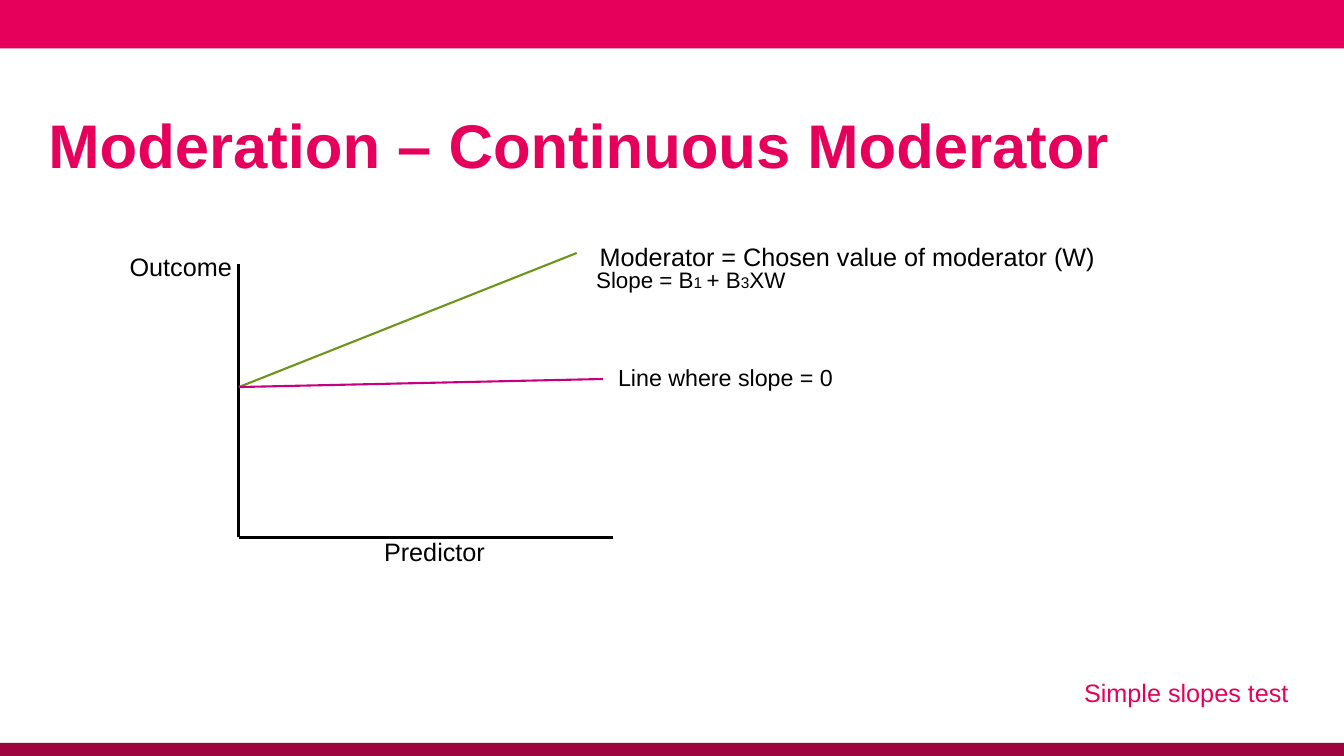
from collections import namedtuple
from dataclasses import dataclass

from lxml import etree
from pptx import Presentation
from pptx.dml.color import RGBColor
from pptx.enum.shapes import MSO_CONNECTOR, MSO_SHAPE
from pptx.enum.text import MSO_ANCHOR, MSO_AUTO_SIZE, PP_ALIGN
from pptx.oxml.ns import qn
from pptx.util import Inches, Pt

RECTANGLE, STRAIGHT = MSO_SHAPE.RECTANGLE, MSO_CONNECTOR.STRAIGHT
MIDDLE, BOTTOM = MSO_ANCHOR.MIDDLE, MSO_ANCHOR.BOTTOM
LEFT, RIGHT = PP_ALIGN.LEFT, PP_ALIGN.RIGHT
NO_FIT = MSO_AUTO_SIZE.NONE
TITLE_AND_CONTENT = 1

Box = namedtuple("Box", "left top width height")


@dataclass(frozen=True)
class Theme:
    font: str = "Arial"
    pink: str = "E6005B"
    crimson: str = "9E043D"
    ink: str = "000000"
    green: str = "6D951A"
    magenta: str = "C7007F"
    title: float = 44
    text: float = 18
    zero_line: float = 16.6
    formula: float = 16
    index: float = 11
    axis: float = 2.25
    slope: float = 1.5


THEME = Theme()
SLIDE = Box(0, 0, 13.33, 7.5)


def place(shape, box):
    shape.left, shape.top, shape.width, shape.height = map(Inches, box)


def set_frame(frame, anchor, right_inset=0, side_inset=0):
    frame.word_wrap = True
    frame.auto_size = NO_FIT
    frame.vertical_anchor = anchor
    frame.margin_left, frame.margin_right = 0, Inches(right_inset)
    frame.margin_top = frame.margin_bottom = Inches(side_inset)


def set_font(font, size, color):
    font.name = THEME.font
    font.size = Pt(size)
    font.color.rgb = RGBColor.from_string(color)


def add_bar(page, box, color):
    bar = page.shapes.add_shape(RECTANGLE, *map(Inches, box))
    bar.shadow.inherit = False
    bar.fill.solid()
    bar.fill.fore_color.rgb = RGBColor.from_string(color)
    bar.line.fill.background()


def fill_title(page, box, text):
    title = page.shapes.title
    place(title, box)
    set_frame(title.text_frame, MIDDLE, right_inset=0.1, side_inset=0.05)
    para = title.text_frame.paragraphs[0]
    para.text = text
    para.alignment = LEFT
    set_font(para.font, THEME.title, THEME.pink)
    para.font.bold = True


def fill_caption(page, box, text):
    caption = page.placeholders[1]
    place(caption, box)
    set_frame(caption.text_frame, BOTTOM)
    para = caption.text_frame.paragraphs[0]
    para.text = text
    para.alignment = RIGHT
    para.space_before = Pt(0)
    properties = para._p.get_or_add_pPr()
    properties.set("marL", "0")
    properties.set("indent", "0")
    etree.SubElement(properties, qn("a:buNone"))
    set_font(para.font, THEME.text, THEME.pink)


def add_line(page, start, end, color, width):
    line = page.shapes.add_connector(STRAIGHT, *map(Inches, start + end))
    line.line.color.rgb = RGBColor.from_string(color)
    line.line.width = Pt(width)
    etree.SubElement(line._element.spPr, qn("a:effectLst"))


def add_label(page, right, bottom, width, spans):
    """Right-aligned label ending at the given corner; spans are (text, size)."""
    height = 0.3
    box = Box(right - width, bottom - height, width, height)
    frame = page.shapes.add_textbox(*map(Inches, box)).text_frame
    set_frame(frame, BOTTOM)
    para = frame.paragraphs[0]
    para.alignment = RIGHT
    set_font(para.font, spans[0][1], THEME.ink)
    for text, size in spans:
        span = para.add_run()
        span.text = text
        if size != spans[0][1]:
            span.font.size = Pt(size)


def draw_slopes(page, box):
    """Axes, slope lines and labels, measured from the plot's top left corner."""
    def point(x, y):
        return box.left + x, box.top + y

    origin = point(0, box.height)
    intercept = point(0, 1.33)
    lines = [
        (origin, point(0, 0.11), THEME.ink, THEME.axis),
        (origin, point(box.width, box.height), THEME.ink, THEME.axis),
        (intercept, point(3.35, 0), THEME.green, THEME.slope),
        (intercept, point(3.61, 1.25), THEME.magenta, THEME.slope),
    ]
    for line in lines:
        add_line(page, *line)

    formula = [("Slope = B", THEME.formula), ("1 ", THEME.index),
               ("+ B", THEME.formula), ("3", THEME.index),
               ("XW", THEME.formula)]
    labels = [
        (2.44, box.height + 0.29, 1.2, [("Predictor", THEME.text)]),
        (8.49, 0.18, 5.1,
         [("Moderator = Chosen value of moderator (W)", THEME.text)]),
        (5.89, 1.37, 2.3, [("Line where slope = 0", THEME.zero_line)]),
        (5.42, 0.4, 2.1, formula),
        (-0.07, 0.28, 1.2, [("Outcome", THEME.text)]),
    ]
    for x, y, width, spans in labels:
        add_label(page, *point(x, y), width, spans)


def main():
    deck = Presentation()
    deck.slide_width, deck.slide_height = Inches(SLIDE.width), Inches(SLIDE.height)
    page = deck.slides.add_slide(deck.slide_layouts[TITLE_AND_CONTENT])
    add_bar(page, Box(0, 0, SLIDE.width, 0.48), THEME.pink)
    add_bar(page, Box(0, 7.37, SLIDE.width, 0.13), THEME.crimson)
    fill_title(page, Box(0.48, 0.88, 12.36, 1.1), "Moderation – Continuous Moderator")
    fill_caption(page, Box(6.79, 6.62, 5.99, 0.4), "Simple slopes test")
    draw_slopes(page, Box(2.37, 2.51, 3.71, 2.82))
    deck.save("out.pptx")


if __name__ == "__main__":
    main()
